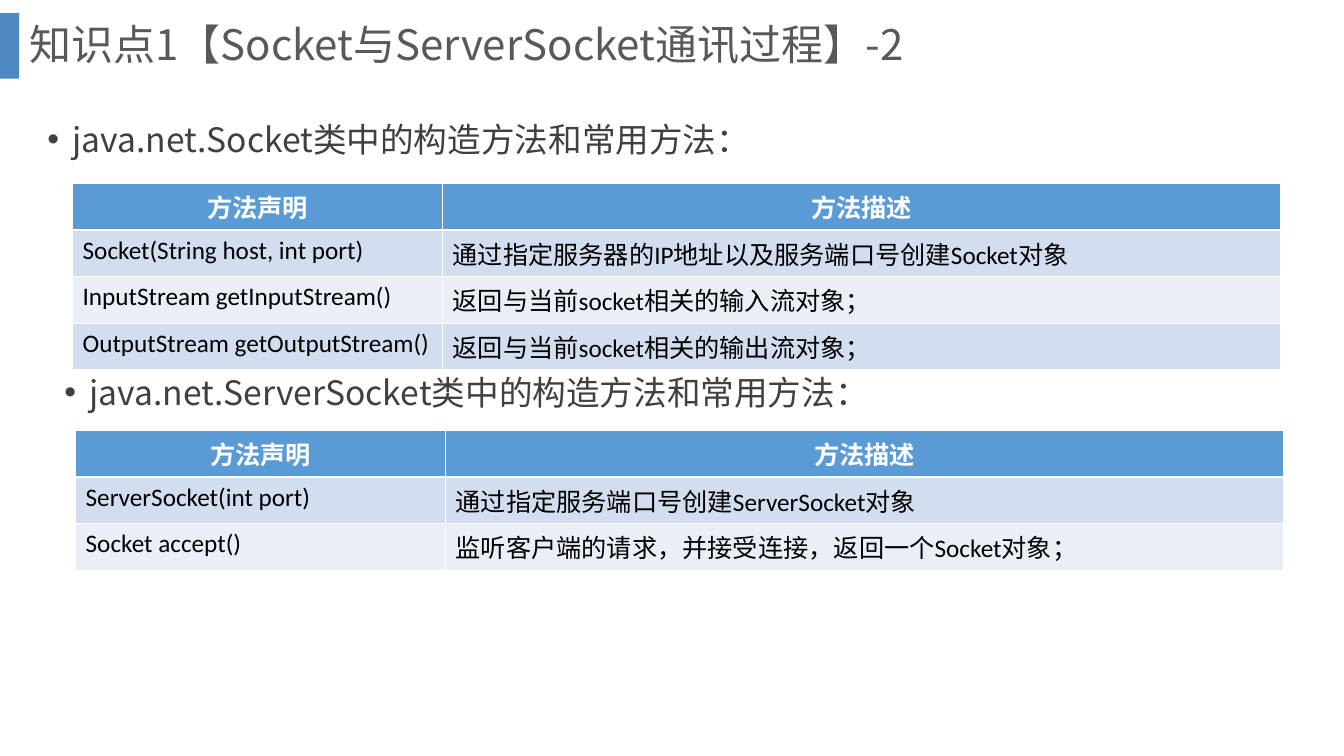
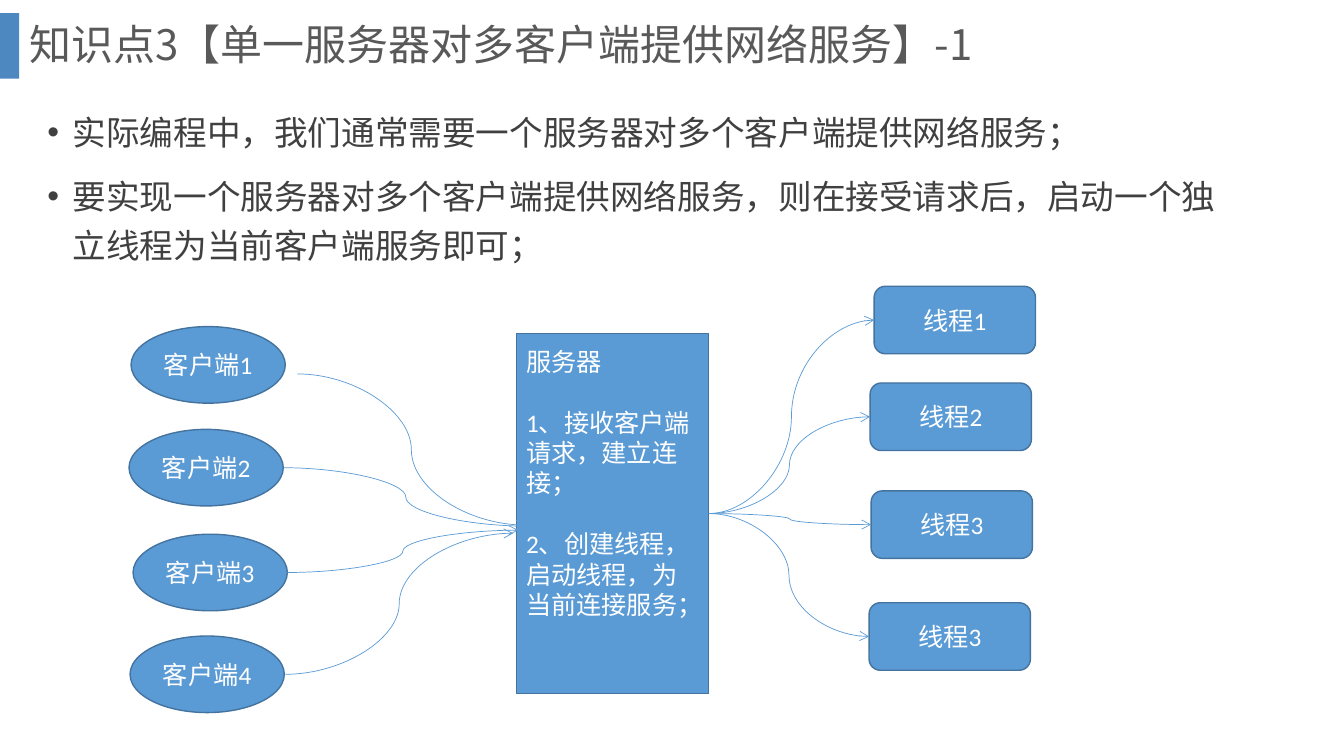
"""Build two slides on sockets, server sockets and serving many clients."""
from lxml import etree
from pptx import Presentation
from pptx import util as u
from pptx.dml import color
from pptx.enum import shapes, text
from pptx.oxml import ns

COLORS = {
    "band": "2E75B6", "title": "595959", "body": "404040", "black": "000000",
    "white": "FFFFFF", "accent": "5B9BD5", "outline": "43739E",
    "odd_row": "D2DEEF", "even_row": "EAEFF7",
}
CJK = "Noto Sans CJK SC"
LATIN = "Calibri"


def rgb(name):
    return color.RGBColor.from_string(COLORS[name])


def inches(*lengths):
    return [u.Inches(length) for length in lengths]


def add_xml(parent, tag, **attributes):
    return etree.SubElement(parent, ns.qn(tag), attributes)


class Deck:
    def __init__(self):
        self.deck = Presentation()
        self.deck.slide_width, self.deck.slide_height = inches(13.33, 7.5)
        self.page = None

    def place(self, box, left, top, width, height):
        box.left, box.top, box.width, box.height = inches(left, top, width, height)

    def add_span(self, para, words, size, tone, latin=LATIN, asian=CJK, bold=False):
        span = para.add_run()
        span.text = words
        span.font.size = u.Pt(size)
        span.font.bold = bold
        span.font.name = latin
        span.font.color.rgb = rgb(tone)
        properties = span.font._element
        properties.set("lang", "zh-CN")
        properties.find(ns.qn("a:latin")).addnext(
            etree.Element(ns.qn("a:ea"), {"typeface": asian}))

    def paragraphs(self, frame, lines):
        for index, words in enumerate(lines):
            yield index, frame.paragraphs[0] if index == 0 else frame.add_paragraph(), words

    def new_page(self, title):
        self.page = self.deck.slides.add_slide(self.deck.slide_layouts[1])
        band = self.shape(shapes.MSO_SHAPE.RECTANGLE, (0, 0.13, 0.19, 0.65), "band", None)
        fill_color = band._element.spPr.find(ns.qn("a:solidFill"))[0]
        add_xml(fill_color, "a:alpha", val="85000")
        box = self.page.shapes.title
        self.place(box, 0.19, 0, 12.66, 0.93)
        frame = box.text_frame
        frame.auto_size = text.MSO_AUTO_SIZE.NONE
        frame.vertical_anchor = text.MSO_ANCHOR.MIDDLE
        para = frame.paragraphs[0]
        para.alignment = text.PP_ALIGN.LEFT
        para.line_spacing = 0.9
        self.add_span(para, title, 30, "title", CJK)

    def bullets(self, area, lines, box=None):
        box = box or self.page.shapes.add_textbox(*inches(*area))
        self.place(box, *area)
        frame = box.text_frame
        frame.word_wrap = True
        frame.auto_size = text.MSO_AUTO_SIZE.NONE
        frame.vertical_anchor = text.MSO_ANCHOR.TOP
        frame.margin_top = u.Inches(0.09)
        for index, para, words in self.paragraphs(frame, lines):
            properties = para._p.get_or_add_pPr()
            properties.set("marL", str(u.Inches(0.25)))
            properties.set("indent", str(-u.Inches(0.25)))
            add_xml(properties, "a:buFont", typeface="Arial")
            add_xml(properties, "a:buChar", char="•")
            para.line_spacing = 1.23
            para.space_before = u.Pt(10 if index else 0)
            self.add_span(para, words, 24, "body", CJK)

    def body(self, area, lines):
        self.bullets(area, lines, self.page.placeholders[1])

    def table(self, left, top, rows):
        rows = [("方法声明", "方法描述"), *rows]
        widths, row_height = (3.67, 8.31), 0.41
        table = self.page.shapes.add_table(
            len(rows), len(widths),
            *inches(left, top, sum(widths), row_height * len(rows))).table
        for column, width in zip(table.columns, widths):
            column.width = u.Inches(width)
        for row, values in enumerate(rows):
            table.rows[row].height = u.Inches(row_height)
            header = row == 0
            fill = "accent" if header else "odd_row" if row % 2 else "even_row"
            for column, words in enumerate(values):
                cell = table.cell(row, column)
                cell.fill.solid()
                cell.fill.fore_color.rgb = rgb(fill)
                para = cell.text_frame.paragraphs[0]
                para.alignment = text.PP_ALIGN.CENTER if header else text.PP_ALIGN.LEFT
                self.add_span(para, words, 18, "white" if header else "black", bold=header)

    def shape(self, kind, area, fill="accent", outline="outline"):
        box = self.page.shapes.add_shape(kind, *inches(*area))
        box.shadow.inherit = False
        box.fill.solid()
        box.fill.fore_color.rgb = rgb(fill)
        if outline:
            box.line.color.rgb = rgb(outline)
            box.line.width = u.Pt(1)
        else:
            box.line.fill.background()
        return box

    def node(self, kind, area, lines, align=text.PP_ALIGN.CENTER, bottom=0.05):
        box = self.shape(kind, area)
        frame = box.text_frame
        frame.word_wrap = True
        frame.vertical_anchor = text.MSO_ANCHOR.MIDDLE
        frame.margin_bottom = u.Inches(bottom)
        for index, para, words in self.paragraphs(frame, lines):
            para.alignment = align
            para.space_before = u.Pt(22 if index else 0)
            self.add_span(para, words, 18, "white", asian=LATIN)
        return box

    def curve(self, start, end):
        arrow = self.page.shapes.add_connector(
            shapes.MSO_CONNECTOR.CURVE, *inches(*start, *end))
        arrow.line.color.rgb = rgb("accent")
        arrow.line.width = u.Pt(0.5)
        properties = arrow._element.spPr
        add_xml(properties.find(ns.qn("a:ln")), "a:tailEnd", type="arrow")
        add_xml(properties, "a:effectLst")
        return arrow


def build_methods(deck):
    deck.new_page("知识点1【Socket与ServerSocket通讯过程】-2")
    deck.body((0.37, 1, 12.05, 2.29), ["java.net.Socket类中的构造方法和常用方法："])
    deck.table(0.72, 1.82, [
        ("Socket(String host, int port)", "通过指定服务器的IP地址以及服务端口号创建Socket对象"),
        ("InputStream getInputStream()", "返回与当前socket相关的输入流对象；"),
        ("OutputStream getOutputStream()", "返回与当前socket相关的输出流对象；"),
    ])
    deck.bullets((0.54, 3.51, 12.05, 0.8), ["java.net.ServerSocket类中的构造方法和常用方法："])
    deck.table(0.75, 4.27, [
        ("ServerSocket(int port)", "通过指定服务端口号创建ServerSocket对象"),
        ("Socket accept()", "监听客户端的请求，并接受连接，返回一个Socket对象；"),
    ])


def build_threads(deck):
    deck.new_page("知识点3【单一服务器对多客户端提供网络服务】-1")
    deck.body((0.37, 0.93, 12.05, 1.91), [
        "实际编程中，我们通常需要一个服务器对多个客户端提供网络服务；",
        "要实现一个服务器对多个客户端提供网络服务，则在接受请求后，启动一个独立线程为当前客户端服务即可；",
    ])
    server = deck.node(
        shapes.MSO_SHAPE.RECTANGLE, (5.12, 3.31, 1.91, 3.57),
        ["服务器", "1、接收客户端请求，建立连接；", "2、创建线程，启动线程，为当前连接服务；"],
        text.PP_ALIGN.LEFT, 0.66)
    clients = [
        ("客户端1", 1.3, 3.24, (2.95, 3.71), (5.21, 5.21)),
        ("客户端2", 1.28, 4.26, (2.81, 4.64), (5.24, 5.22)),
        ("客户端3", 1.32, 5.3, (2.85, 5.68), (5.14, 5.26)),
        ("客户端4", 1.29, 6.31, (2.83, 6.69), (5.09, 5.29)),
    ]
    for name, left, top, start, end in clients:
        deck.node(shapes.MSO_SHAPE.OVAL, (left, top, 1.53, 0.76), [name])
        deck.curve(start, end)
    threads = [("线程1", 8.67, 2.84), ("线程2", 8.63, 3.8),
               ("线程3", 8.64, 4.87), ("线程3", 8.62, 5.98)]
    for name, left, top in threads:
        thread = deck.node(shapes.MSO_SHAPE.ROUNDED_RECTANGLE, (left, top, 1.6, 0.67), [name])
        arrow = deck.curve((7.03, 5.09), (left, top + 0.34))
        arrow.begin_connect(server, 3)
        arrow.end_connect(thread, 1)


def main():
    deck = Deck()
    build_methods(deck)
    build_threads(deck)
    deck.deck.save("out.pptx")


if __name__ == "__main__":
    main()
